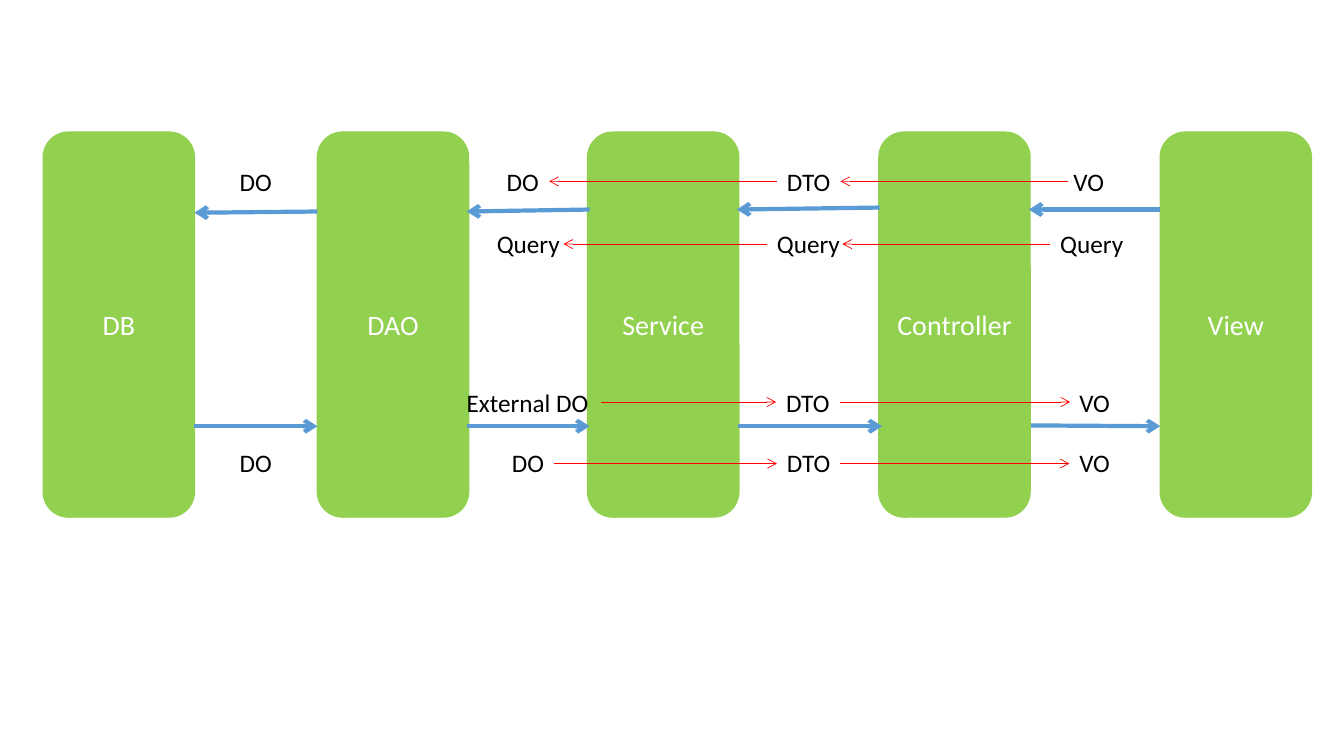
from lxml.etree import SubElement
from pptx import Presentation
from pptx.dml.color import RGBColor
from pptx.enum.shapes import MSO_CONNECTOR, MSO_SHAPE
from pptx.enum.text import MSO_ANCHOR, MSO_AUTO_SIZE, PP_ALIGN
from pptx.oxml.ns import qn
from pptx.util import Cm, Pt

FONT = "Calibri"
GREEN, BLUE, RED, WHITE, BLACK = "92D050", "5B9BD5", "FF0000", "FFFFFF", "000000"

LAYERS = [("DB", 1.09), ("DAO", 8), ("Service", 14.81),
          ("Controller", 22.15), ("View", 29.24)]

# Blue calls between neighbouring layers: start x, start y, end x, end y
CALLS = [
    (29.24, 5.28, 25.93, 5.28), (22.17, 5.23, 18.57, 5.28),
    (14.86, 5.28, 11.76, 5.33), (8, 5.33, 4.9, 5.36),
    (4.9, 10.74, 8, 10.74), (11.76, 10.74, 14.86, 10.74),
    (18.59, 10.74, 22.23, 10.74), (25.98, 10.72, 29.24, 10.74),
]

# Each object row: label top, labels with their left edge,
# height of the red conversions, and their start and end x
OBJECT_ROWS = [
    (4.06, [("DO", 5.79), ("DO", 12.52), ("DTO", 19.58), ("VO", 26.8)],
     4.57, [(26.92, 21.18), (19.58, 13.84)]),
    (5.64, [("Query", 12.27), ("Query", 19.33), ("Query", 26.47)],
     6.15, [(26.47, 21.23), (19.33, 14.2)]),
    (9.63, [("External DO", 11.51), ("DTO", 19.56), ("VO", 26.95)],
     10.13, [(15.14, 19.56), (21.18, 26.97)]),
    (11.15, [("DO", 5.79), ("DO", 12.65), ("DTO", 19.58), ("VO", 26.95)],
     11.68, [(13.97, 19.58), (21.18, 26.95)]),
]
LABEL_WIDTHS = {"DO": 1.33, "DTO": 1.61, "VO": 1.32, "Query": 2.1, "External DO": 3.61}


def color(hex_code):
    """Turn a hex string into a colour."""
    return RGBColor.from_string(hex_code)


def write(frame, text, size, hex_code, align):
    """Put one formatted paragraph in a text frame."""
    para = frame.paragraphs[0]
    para.text = text
    para.alignment = align
    para.font.name = FONT
    para.font.size = Pt(size)
    para.font.color.rgb = color(hex_code)


def add_layer(slide, name, left):
    """Add a rounded column for one application layer."""
    box = slide.shapes.add_shape(MSO_SHAPE.ROUNDED_RECTANGLE,
                                 Cm(left), Cm(3.33), Cm(3.81), Cm(9.7))
    box.shadow.inherit = False
    box.fill.solid()
    box.fill.fore_color.rgb = color(GREEN)
    box.line.color.rgb = color(GREEN)
    box.line.width = Pt(1)
    box.text_frame.word_wrap = True
    box.text_frame.vertical_anchor = MSO_ANCHOR.MIDDLE
    write(box.text_frame, name, 20, WHITE, PP_ALIGN.CENTER)


def add_label(slide, text, left, top):
    """Add the name of a passed object."""
    box = slide.shapes.add_textbox(Cm(left), Cm(top), Cm(LABEL_WIDTHS[text]), Cm(1.02))
    box.text_frame.word_wrap = False
    box.text_frame.auto_size = MSO_AUTO_SIZE.SHAPE_TO_FIT_TEXT
    write(box.text_frame, text, 18, BLACK, PP_ALIGN.LEFT)


def add_arrow(slide, points, hex_code, width):
    """Add a straight line with an open arrowhead at its end."""
    arrow = slide.shapes.add_connector(MSO_CONNECTOR.STRAIGHT, *map(Cm, points))
    arrow.line.color.rgb = color(hex_code)
    arrow.line.width = Pt(width)
    line = arrow._element.spPr.find(qn("a:ln"))
    SubElement(line, qn("a:tailEnd"), type="arrow")
    SubElement(arrow._element.spPr, qn("a:effectLst"))


def main():
    """Build the slide of objects passed between layers."""
    deck = Presentation()
    deck.slide_width, deck.slide_height = Cm(33.87), Cm(19.05)
    slide = deck.slides.add_slide(deck.slide_layouts.get_by_name("Blank"))

    for name, left in LAYERS:
        add_layer(slide, name, left)
    for points in CALLS:
        add_arrow(slide, points, BLUE, 3)
    for top, labels, height, conversions in OBJECT_ROWS:
        for text, left in labels:
            add_label(slide, text, left, top)
        for start, end in conversions:
            add_arrow(slide, (start, height, end, height), RED, 0.5)

    deck.save("out.pptx")


main()
